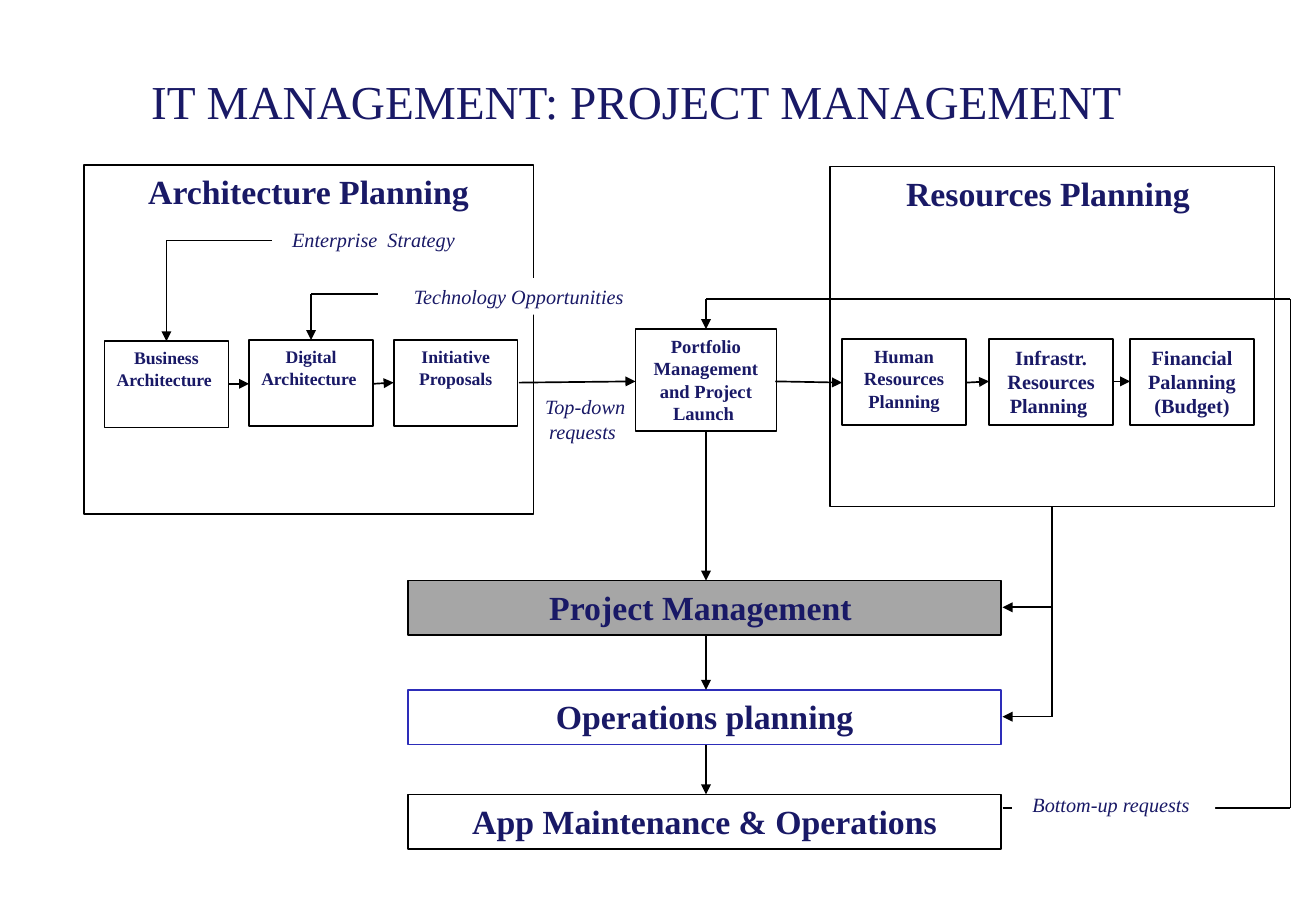
from lxml import etree
from pptx import Presentation
from pptx.dml.color import RGBColor
from pptx.enum.shapes import MSO_CONNECTOR, MSO_SHAPE
from pptx.enum.text import MSO_ANCHOR, PP_ALIGN
from pptx.oxml.ns import qn
from pptx.util import Inches, Pt

RECT = MSO_SHAPE.RECTANGLE
STRAIGHT = MSO_CONNECTOR.STRAIGHT
CENTER = PP_ALIGN.CENTER
TOP, MIDDLE = MSO_ANCHOR.TOP, MSO_ANCHOR.MIDDLE
FONT = "Times New Roman"
COLORS = {
    "text": "191966",
    "line": "000000",
    "operations": "2D2DB9",
    "white": "FFFFFF",
    "current": "A6A6A6",
}


def write_box(box, text, size, anchor=TOP, bold=False, italic=False):
    frame = box.text_frame
    frame.word_wrap = True
    frame.vertical_anchor = anchor
    frame.margin_left = frame.margin_right = Inches(0.1)
    frame.margin_top = frame.margin_bottom = Inches(0.05)
    frame.text = text
    paragraph = frame.paragraphs[0]
    paragraph.alignment = CENTER
    font = paragraph.font
    font.name, font.size = FONT, Pt(size)
    font.bold, font.italic = bold, italic
    font.color.rgb = RGBColor.from_string(COLORS["text"])


def add_rect(bounds, text, size, fill=None, line=None, bold=False, italic=False):
    box = slide.shapes.add_shape(RECT, *map(Inches, bounds))
    box.shadow.inherit = False
    if fill:
        box.fill.solid()
        box.fill.fore_color.rgb = RGBColor.from_string(COLORS[fill])
    else:
        box.fill.background()
    if line:
        box.line.color.rgb = RGBColor.from_string(COLORS[line])
        box.line.width = Pt(1)
    else:
        box.line.fill.background()
    write_box(box, text, size, bold=bold, italic=italic)


prs = Presentation()
prs.slide_width, prs.slide_height = Inches(10.83), Inches(7.5)
slide = prs.slides.add_slide(prs.slide_layouts[5])

title = slide.shapes.title
title.left, title.top = Inches(0.81), Inches(0.33)
title.width, title.height = Inches(8.94), Inches(1)
write_box(title, "IT MANAGEMENT: PROJECT MANAGEMENT ", 28, MIDDLE)

planning_areas = [
    ((6.83, 1.37, 3.66, 2.8), "Resources Planning "),
    ((0.69, 1.36, 3.7, 2.87), "Architecture Planning"),
]
for bounds, name in planning_areas:
    add_rect(bounds, name, 20, line="line", bold=True)

planning_steps = [
    (0.86, 2.81, "Business Architecture ", 10.5),
    (2.05, 2.8, "Digital Architecture ", 10.5),
    (3.24, 2.8, "Initiative Proposals", 10.5),
    (6.93, 2.79, "Human Resources Planning", 11),
    (8.14, 2.79, "Infrastr. Resources Planning ", 12),
    (9.3, 2.79, "Financial Palanning (Budget)", 12),
]
for left, top, name, size in planning_steps:
    add_rect((left, top, 1.02, 0.71), name, size, "white", "line", bold=True)
add_rect((5.23, 2.71, 1.16, 0.84), "Portfolio Management and Project Launch ", 11,
         "white", "line", bold=True)

delivery_stages = [
    (4.78, "Project Management ", "current", "line"),
    (5.68, "Operations planning", "white", "operations"),
    (6.54, "App Maintenance & Operations", "white", "line"),
]
for top, name, fill, line in delivery_stages:
    add_rect((3.36, top, 4.88, 0.45), name, 20, fill, line, bold=True)

flows = [
    [(1.88, 3.16), (2.05, 3.16)],
    [(3.07, 3.16), (3.24, 3.15)],
    [(4.27, 3.15), (5.23, 3.14)],
    [(6.38, 3.14), (6.93, 3.15)],
    [(7.95, 3.15), (8.14, 3.14)],
    [(9.17, 3.14), (9.3, 3.14)],
    [(5.81, 3.56), (5.81, 4.78)],
    [(5.81, 5.23), (5.81, 5.68)],
    [(5.81, 6.13), (5.81, 6.54)],
    [(2.28, 1.98), (1.37, 1.98), (1.37, 2.81)],
    [(3.11, 2.42), (2.56, 2.42), (2.56, 2.8)],
    [(8.66, 4.17), (8.66, 5.9), (8.25, 5.9)],
    [(8.66, 5), (8.25, 5)],
    [(8.25, 6.65), (10.62, 6.65), (10.62, 2.46), (5.81, 2.46), (5.81, 2.71)],
]
for flow in flows:
    for start, end in zip(flow, flow[1:]):
        leg = slide.shapes.add_connector(STRAIGHT, *map(Inches, start + end))
        leg.line.color.rgb = RGBColor.from_string(COLORS["line"])
        leg.line.width = Pt(1)
        etree.SubElement(leg._element.spPr, qn("a:effectLst"))
    etree.SubElement(leg.line._get_or_add_ln(), qn("a:tailEnd"), type="triangle")

requests = slide.shapes.add_textbox(*map(Inches, (4.27, 3.2, 1.09, 0.5)))
write_box(requests, "Top-down requests ", 12, italic=True)

input_labels = [
    ((2.24, 1.82, 1.67, 0.3), "Enterprise  Strategy"),
    ((3.21, 2.29, 2.12, 0.3), "Technology Opportunities"),
    ((8.33, 6.47, 1.67, 0.3), "Bottom-up requests "),
]
for bounds, name in input_labels:
    add_rect(bounds, name, 12, "white", italic=True)

prs.save("out.pptx")
